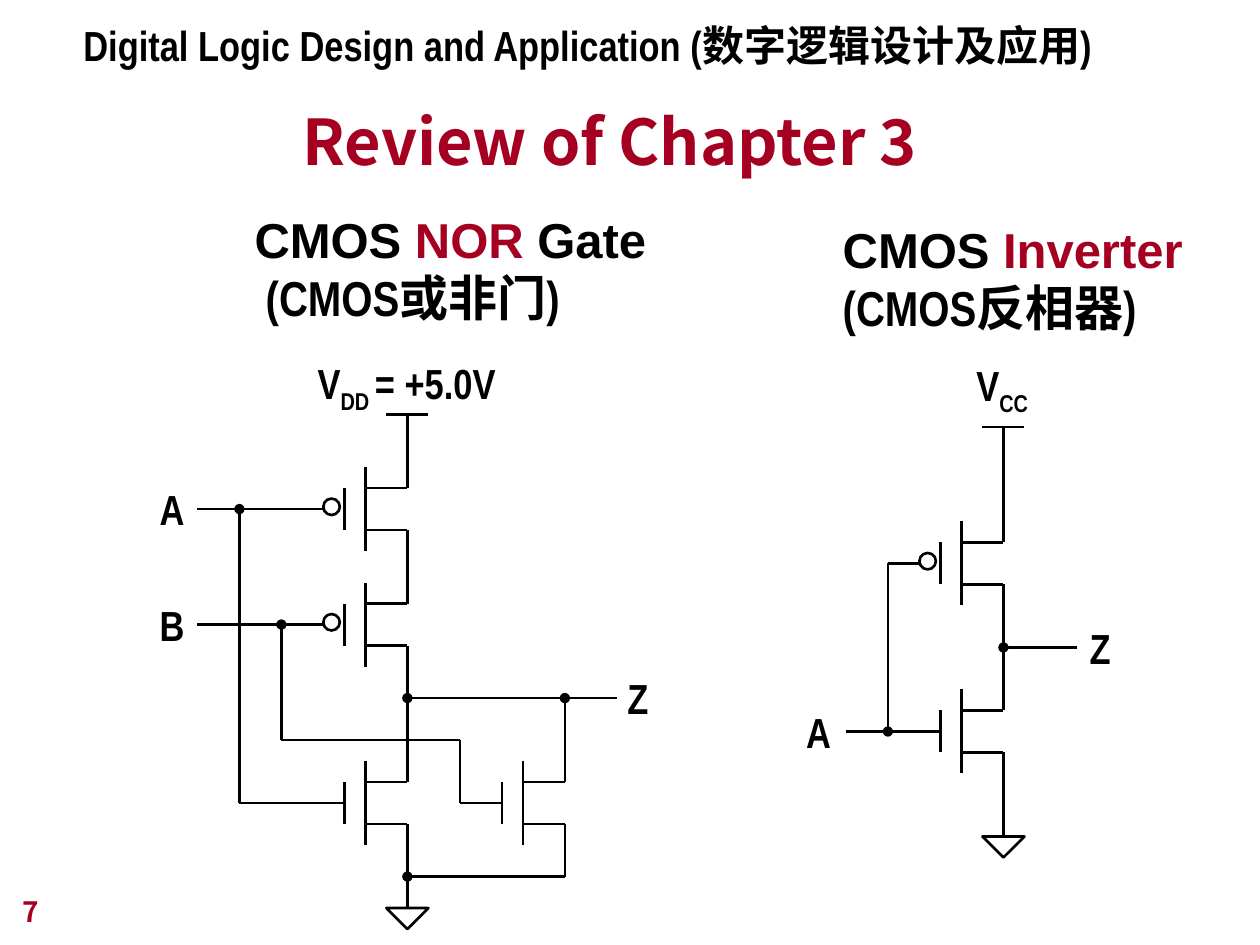
from dataclasses import dataclass
from typing import NamedTuple

from lxml.etree import SubElement
from pptx import Presentation
from pptx.dml.color import RGBColor
from pptx.enum.shapes import MSO_CONNECTOR, MSO_SHAPE
from pptx.enum.text import MSO_ANCHOR, MSO_AUTO_SIZE, PP_ALIGN
from pptx.oxml.ns import qn
from pptx.util import Pt

COLORS = {"ink": "000000", "accent": "A50021"}
NARROW, ARIAL, CJK = "Arial Narrow", "Arial", "Noto Sans CJK JP"
STROKE = 1.5
STEP = 12  # grid unit of the schematics


class Run(NamedTuple):
    text: str
    color: str = "ink"
    font: str = NARROW
    sub: bool = False


class Wire(NamedTuple):
    x1: float
    y1: float
    x2: float
    y2: float
    dot: bool = False  # junction dot at the start


class Transistor(NamedTuple):
    x: float  # channel
    y: float  # centre
    p_type: bool = False


class Label(NamedTuple):
    runs: list[Run]
    x: float
    y: float
    w: float
    h: float = 36


@dataclass
class Circuit:
    supply: tuple[float, float]
    ground: tuple[float, float]
    transistors: list[Transistor]
    wires: list[Wire]
    labels: list[Label]


def rgb(name: str) -> RGBColor:
    return RGBColor.from_string(COLORS[name])


def add_text(shapes, paragraphs: list[list[Run]], x: float, y: float, w: float, h: float, *,
             size: float = 24, wrap: bool = False, align=PP_ALIGN.LEFT,
             anchor=MSO_ANCHOR.TOP) -> None:
    tf = shapes.add_textbox(Pt(x), Pt(y), Pt(w), Pt(h)).text_frame
    tf.word_wrap = wrap
    tf.auto_size = MSO_AUTO_SIZE.NONE if wrap else MSO_AUTO_SIZE.SHAPE_TO_FIT_TEXT
    tf.vertical_anchor = anchor
    for i, runs in enumerate(paragraphs):
        p = tf.add_paragraph() if i else tf.paragraphs[0]
        p.alignment = align
        for run in runs:
            r = p.add_run()
            r.text = run.text
            r.font.size, r.font.bold, r.font.name = Pt(size), True, run.font
            r.font.color.rgb = rgb(run.color)
            rPr = r.font._element
            SubElement(rPr, qn("a:ea")).set("typeface", CJK)
            if run.sub:
                rPr.set("baseline", "-25000")


def add_wire(shapes, wire: Wire) -> None:
    c = shapes.add_connector(MSO_CONNECTOR.STRAIGHT, Pt(wire.x1), Pt(wire.y1),
                             Pt(wire.x2), Pt(wire.y2))
    c.line.color.rgb = rgb("ink")
    c.line.width = Pt(STROKE)
    if wire.dot:
        SubElement(c.line._get_or_add_ln(), qn("a:headEnd")).set("type", "oval")
    SubElement(c._element.spPr, qn("a:effectLst"))


def add_outline(shapes, kind, x: float, y: float, w: float, h: float):
    sp = shapes.add_shape(kind, Pt(x), Pt(y), Pt(w), Pt(h))
    sp.shadow.inherit = False
    sp.fill.background()
    sp.line.color.rgb = rgb("ink")
    sp.line.width = Pt(STROKE)
    return sp


def add_transistor(shapes, t: Transistor) -> None:
    top, bottom = t.y - STEP, t.y + STEP
    add_wire(shapes, Wire(t.x - STEP, top, t.x - STEP, bottom))
    add_wire(shapes, Wire(t.x, top - STEP, t.x, bottom + STEP))
    for y in (top, bottom):
        add_wire(shapes, Wire(t.x, y, t.x + 2 * STEP, y))
    if t.p_type:
        add_outline(shapes, MSO_SHAPE.OVAL, t.x - 24, t.y - 6, 9.4, 9.4)


def add_circuit(s, circuit: Circuit) -> None:
    shapes = s.shapes.add_group_shape().shapes
    x, y = circuit.supply
    add_wire(shapes, Wire(x - STEP, y, x + STEP, y))
    x, y = circuit.ground
    sp = add_outline(shapes, MSO_SHAPE.ISOSCELES_TRIANGLE, x - STEP, y, 2 * STEP, STEP)
    sp._element.spPr.xfrm.set("flipV", "1")
    for t in circuit.transistors:
        add_transistor(shapes, t)
    for wire in circuit.wires:
        add_wire(shapes, wire)
    for label in circuit.labels:
        add_text(shapes, [label.runs], label.x, label.y, label.w, label.h)


INVERTER = Circuit(
    supply=(573.4, 244),
    ground=(573.4, 478),
    transistors=[Transistor(549.4, 322, True), Transistor(549.4, 418)],
    wires=[
        Wire(573.4, 310, 573.4, 244),
        Wire(573.4, 334, 573.4, 406),
        Wire(573.4, 478, 573.4, 430),
        Wire(573.4, 370, 615.6, 370, True),
        Wire(525.6, 322, 507.4, 322),
        Wire(507.4, 418, 507.4, 322, True),
        Wire(537.4, 418, 483.6, 418),
    ],
    labels=[
        Label([Run("V"), Run("CC", sub=True)], 550.8, 202, 43.9, 40.3),
        Label([Run("A")], 453.6, 400.3, 28.1),
        Label([Run("Z")], 615.6, 352.1, 25.9),
    ],
)

NOR_GATE = Circuit(
    supply=(232.8, 236.9),
    ground=(232.8, 518.9),
    transistors=[Transistor(208.8, 290.9, True), Transistor(208.8, 356.9, True),
                 Transistor(208.8, 458.9), Transistor(298.8, 458.9)],
    wires=[
        # Input A
        Wire(184.8, 290.9, 112.8, 290.9),
        Wire(136.8, 290.9, 136.8, 458.9, True),
        Wire(196.8, 458.9, 136.8, 458.9),
        # Input B
        Wire(184.8, 356.9, 112.8, 356.9),
        Wire(160.8, 356.9, 160.8, 422.9, True),
        Wire(262.8, 422.9, 160.8, 422.9),
        Wire(262.8, 422.9, 262.8, 458.9),
        Wire(286.8, 458.9, 262.8, 458.9),
        # Main column
        Wire(232.8, 278.9, 232.8, 236.9),
        Wire(232.8, 302.9, 232.8, 344.9),
        Wire(232.8, 446.9, 232.8, 368.9),
        Wire(232.8, 518.9, 232.8, 470.9),
        # Output and parallel branch
        Wire(232.8, 398.9, 352.8, 398.9, True),
        Wire(322.8, 398.9, 322.8, 446.9, True),
        Wire(322.8, 500.9, 322.8, 470.9),
        Wire(232.8, 500.9, 322.8, 500.9, True),
    ],
    labels=[
        Label([Run("V"), Run("DD ", sub=True), Run("= +5.0V")], 174.4, 200.9, 115.9, 40.3),
        Label([Run("Z")], 351.4, 380.9, 25.9),
        Label([Run("A")], 84.2, 272.9, 28.1),
        Label([Run("B")], 84.2, 339.1, 28.1),
    ],
)


def main() -> None:
    prs = Presentation()
    prs.slide_width, prs.slide_height = Pt(720), Pt(540)
    s = prs.slides.add_slide(prs.slide_layouts[6])

    # Course name, title and page number
    add_text(s.shapes, [[Run("Digital Logic Design and Application (数字逻辑设计及应用)")]],
             40.6, 7.6, 602.6, 36)
    add_text(s.shapes, [[Run("Review of Chapter 3", "accent", CJK)]], 42.5, 50.6, 612, 54.7,
             size=36, wrap=True, align=PP_ALIGN.CENTER, anchor=MSO_ANCHOR.BOTTOM)
    add_text(s.shapes, [[Run("7", "accent", CJK)]], 5.8, 498.2, 149.8, 36,
             size=16, wrap=True, anchor=MSO_ANCHOR.BOTTOM)

    # Circuit headings
    add_text(s.shapes, [[Run("CMOS", font=ARIAL), Run(" NOR ", "accent", ARIAL),
                         Run("Gate", font=ARIAL)],
                        [Run(" ", "accent"), Run("(CMOS或非门)")]],
             138.4, 115.9, 242, 74.9, size=28, wrap=True)
    add_text(s.shapes, [[Run("CMOS ", font=ARIAL), Run("Inverter", "accent", ARIAL)],
                        [Run("(CMOS反相器)")]],
             474.5, 121.7, 213, 74.9, size=28, wrap=True)

    # Schematics
    for circuit in (NOR_GATE, INVERTER):
        add_circuit(s, circuit)

    prs.save("out.pptx")


if __name__ == "__main__":
    main()
